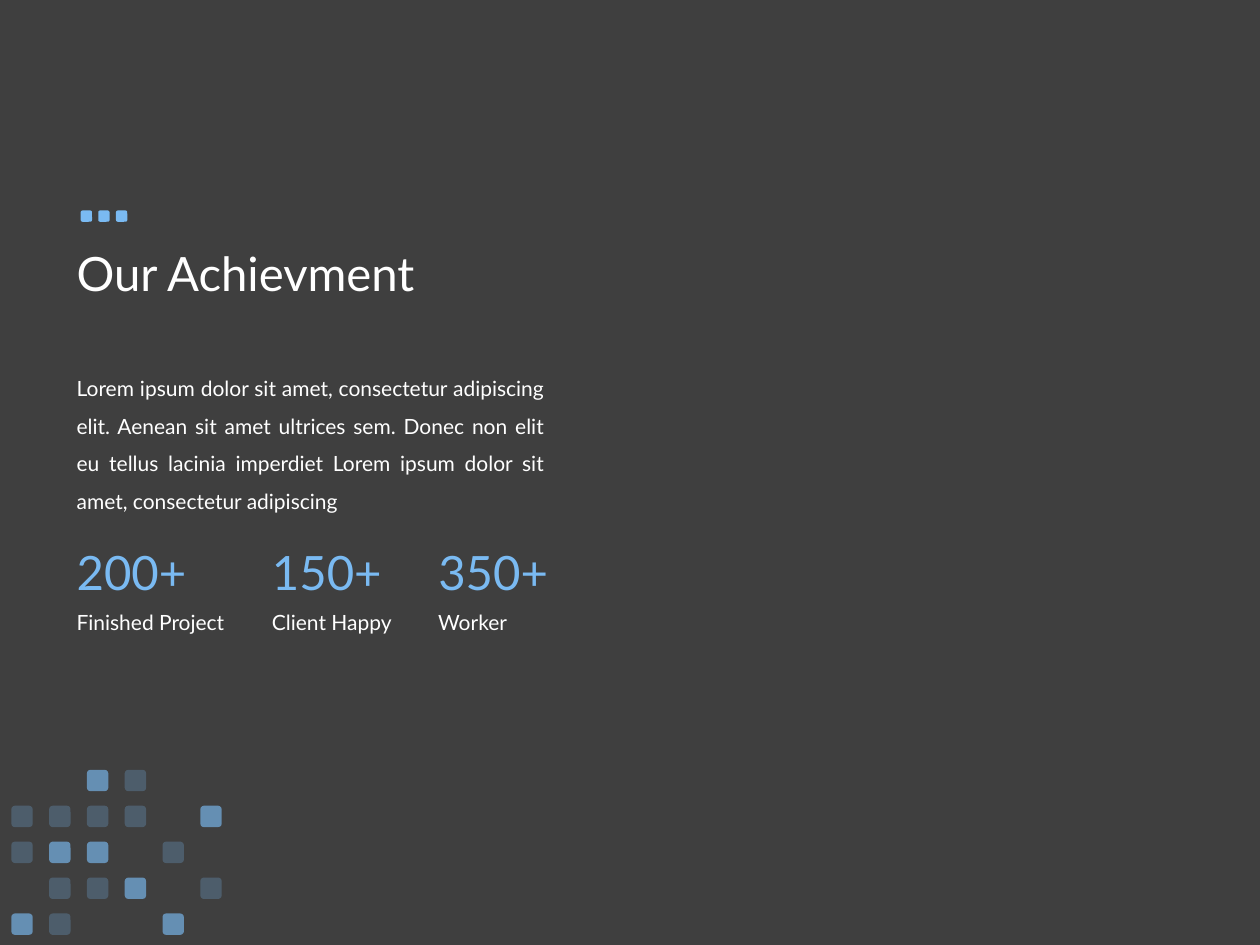
from dataclasses import dataclass

from lxml.etree import SubElement
from pptx import Presentation
from pptx.dml.color import RGBColor
from pptx.enum.shapes import MSO_SHAPE
from pptx.enum.text import MSO_ANCHOR, PP_ALIGN
from pptx.oxml.ns import qn
from pptx.util import Inches, Pt


@dataclass(frozen=True)
class Theme:
    background: RGBColor = RGBColor(0x3F, 0x3F, 0x3F)
    text: RGBColor = RGBColor(0xFF, 0xFF, 0xFF)
    accent: RGBColor = RGBColor(0x7A, 0xBA, 0xF2)
    font: str = "Lato"
    heading_size: Pt = Pt(27)
    body_size: Pt = Pt(12)
    strong_opacity: int = 65
    faint_opacity: int = 25


THEME = Theme()

BODY = (
    "Lorem ipsum dolor sit amet, consectetur adipiscing elit. "
    "Aenean sit amet ultrices sem. Donec non elit eu tellus lacinia imperdiet "
    "Lorem ipsum dolor sit amet, consectetur adipiscing"
)
STATS = [
    (0, "200+", "Finished Project"),
    (1.55, "150+", "Client Happy"),
    (2.87, "350+", "Worker"),
]
MOSAIC = [
    "..SF..",
    "FFFF.S",
    "FSS.F.",
    ".FFS.F",
    "SF..S.",
]


def add_text(slide, text, left, top, width, height, size, color=THEME.text,
             align=PP_ALIGN.LEFT, line_spacing=1.0, anchor=MSO_ANCHOR.TOP):
    shape = slide.shapes.add_textbox(Inches(left), Inches(top), Inches(width), Inches(height))
    frame = shape.text_frame
    frame.word_wrap = True
    frame.vertical_anchor = anchor
    paragraph = frame.paragraphs[0]
    paragraph.text = text
    paragraph.alignment = align
    paragraph.line_spacing = line_spacing
    paragraph.font.name = THEME.font
    paragraph.font.size = size
    paragraph.font.color.rgb = color


def add_tile(group, left, top, size, opacity=100):
    shape = group.shapes.add_shape(
        MSO_SHAPE.ROUNDED_RECTANGLE, Inches(left), Inches(top), Inches(size), Inches(size))
    shape.shadow.inherit = False
    shape.line.fill.background()
    shape.fill.solid()
    shape.fill.fore_color.rgb = THEME.accent
    if opacity < 100:
        color = shape.fill._xPr.find(qn("a:solidFill"))[0]
        SubElement(color, qn("a:alpha"), val=str(opacity * 1000))


def add_heading(slide, left, top, width, height):
    add_text(slide, "Our Achievment", left, top, width, height, THEME.heading_size,
             line_spacing=0.9, anchor=MSO_ANCHOR.MIDDLE)
    group = slide.shapes.add_group_shape()
    for index in range(3):
        add_tile(group, left + 0.13 + index * 0.14, top + 0.2, 0.09)


def add_body(slide, left, top, width, height):
    add_text(slide, BODY, left, top, width, height, THEME.body_size,
             align=PP_ALIGN.JUSTIFY, line_spacing=1.5)


def add_stats(slide, left, top):
    for offset, value, label in STATS:
        add_text(slide, value, left + offset, top, 1.19, 0.56,
                 THEME.heading_size, THEME.accent)
        add_text(slide, label, left + offset, top + 0.53, 1.76, 0.3, THEME.body_size)


def add_mosaic(slide, left, top, width, height):
    tile = 0.17
    column_step = (width - tile) / (len(MOSAIC[0]) - 1)
    row_step = (height - tile) / (len(MOSAIC) - 1)
    opacities = {"S": THEME.strong_opacity, "F": THEME.faint_opacity}
    group = slide.shapes.add_group_shape()
    for row, cells in enumerate(MOSAIC):
        for column, cell in enumerate(cells):
            if cell in opacities:
                add_tile(group, left + column * column_step, top + row * row_step,
                         tile, opacities[cell])


def main():
    presentation = Presentation()
    presentation.slide_width = Inches(10)
    presentation.slide_height = Inches(7.5)
    slide = presentation.slides.add_slide(presentation.slide_layouts[6])
    slide.background.fill.solid()
    slide.background.fill.fore_color.rgb = THEME.background

    margin = 0.51
    add_heading(slide, margin, 1.47, 8.62, 1.45)
    add_stats(slide, margin, 4.26)
    add_body(slide, margin, 2.83, 3.91, 1.27)
    add_mosaic(slide, 0.09, 6.11, 1.67, 1.31)
    presentation.save("out.pptx")


if __name__ == "__main__":
    main()
